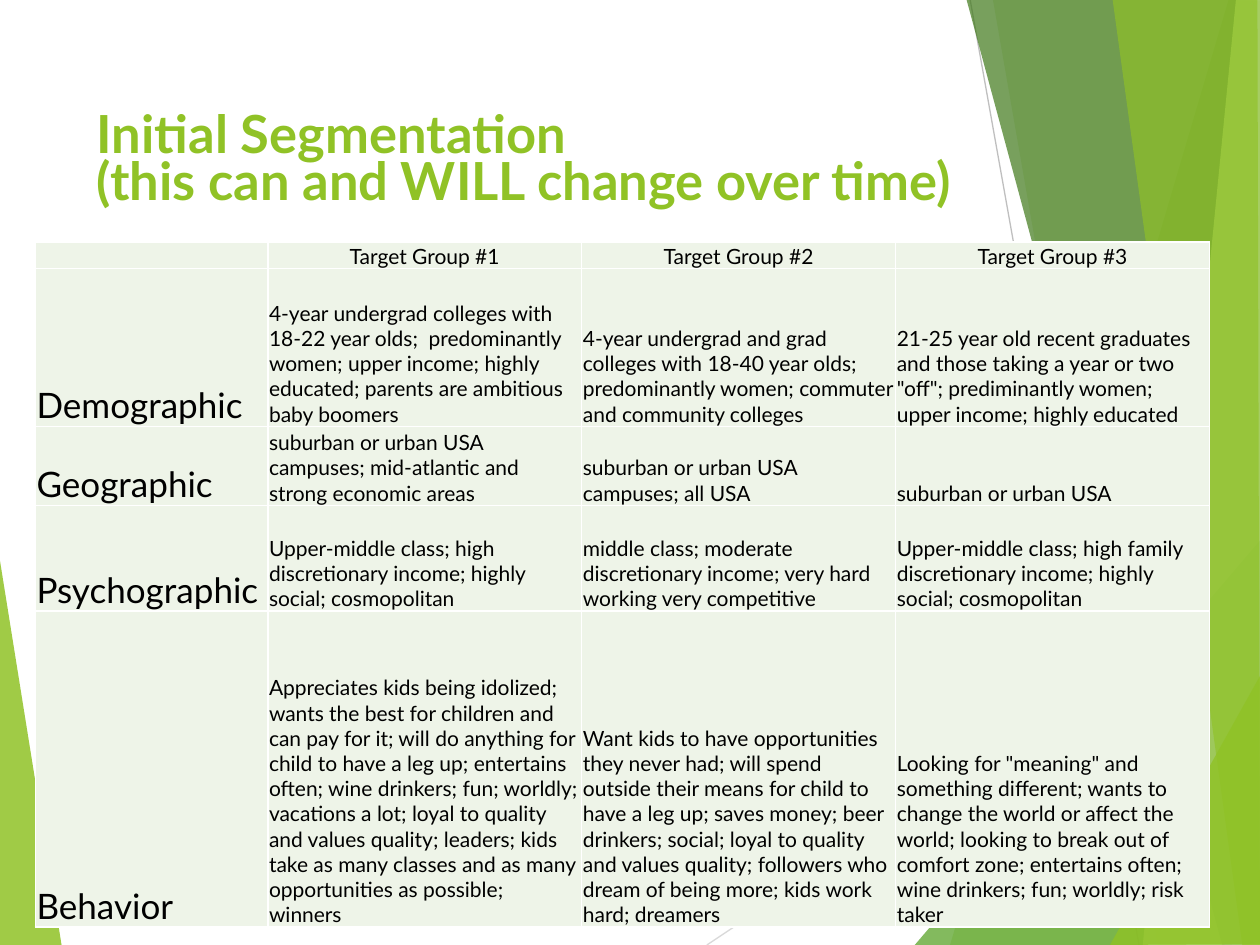
from lxml.etree import SubElement
from pptx import Presentation
from pptx.dml.color import RGBColor
from pptx.enum.shapes import MSO_CONNECTOR
from pptx.enum.text import MSO_ANCHOR, PP_ALIGN
from pptx.oxml.ns import qn
from pptx.util import Inches, Pt

WIDTH, HEIGHT = Inches(10), Inches(7.5)
FONT = "Lato"
COLOURS = {
    "lime": "90C226", "leaf": "54A021", "forest": "3F7819", "pale": "C0E474",
    "light_grey": "D9D9D9", "grey": "BFBFBF",
    "cell": "EEF4E8", "border": "FFFFFF", "text": "000000",
}

# Background art: points are percentages of the slide's width and height.
LEFT_FACET = [("lime", 85, [(-0.1, 58.5), (4.9, 100.1), (-0.1, 100)])]
RAYS = [("light_grey", (56.1, 100), (100.1, 60.9)),
        ("grey", (77, 0), (90.4, 100))]
RIGHT_FACETS = [
    ("lime", 30, [(97.5, 0), (75.4, 100), (100.2, 100.1), (100.1, 0.1)]),
    ("lime", 20, [(78.8, -0.1), (91.9, 100), (100.1, 100), (100.1, -0.1)]),
    ("leaf", 72, [(72.6, 100), (100, 57.2), (100.1, 100)]),
    ("forest", 70, [(76.7, -0.1), (97, 100), (100.1, 99.9), (100.1, -0.1)]),
    ("pale", 70, [(98.1, -0.1), (90.7, 100), (100.1, 100), (100, -0.1)]),
    ("lime", 65, [(88.3, -0.1), (98.6, 100), (100, 100), (99.8, -0.1)]),
    ("lime", 80, [(88.1, 100), (100.1, 71.3), (100.1, 99.9)]),
]

TITLE_LINES = ["Initial Segmentation", "(this can and WILL change over time)"]

COLUMN_UNITS = [20, 27, 27, 27]
ROW_UNITS = [1, 6, 3, 4, 12]
SEGMENTS = [
    ["", "Target Group #1", "Target Group #2", "Target Group #3"],
    ["Demographic",
     "4-year undergrad colleges with 18-22 year olds;  predominantly women; "
     "upper income; highly educated; parents are ambitious baby boomers",
     "4-year undergrad and grad colleges with 18-40 year olds;  "
     "predominantly women; commuter and community colleges",
     '21-25 year old recent graduates and those taking a year or two "off"; '
     "prediminantly women; upper income; highly educated"],
    ["Geographic",
     "suburban or urban USA campuses; mid-atlantic and strong economic areas",
     "suburban or urban USA campuses; all USA",
     "suburban or urban USA"],
    ["Psychographic",
     "Upper-middle class; high discretionary income; highly social; "
     "cosmopolitan",
     "middle class; moderate discretionary income; very hard working very "
     "competitive",
     "Upper-middle class; high family discretionary income; highly social; "
     "cosmopolitan"],
    ["Behavior",
     "Appreciates kids being idolized; wants the best for children and can "
     "pay for it; will do anything for child to have a leg up; entertains "
     "often; wine drinkers; fun; worldly; vacations a lot; loyal to quality "
     "and values quality; leaders; kids take as many classes and as many "
     "opportunities as possible; winners",
     "Want kids to have opportunities they never had; will spend outside "
     "their means for child to have a leg up; saves money; beer drinkers; "
     "social; loyal to quality and values quality; followers who dream of "
     "being more; kids work hard; dreamers",
     'Looking for "meaning" and something different; wants to change the '
     "world or affect the world; looking to break out of comfort zone; "
     "entertains often; wine drinkers; fun; worldly; risk taker"],
]
CELL_FORMAT = {
    "margin_left": Inches(0.01), "margin_right": Inches(0.01),
    "margin_top": Inches(0.01), "margin_bottom": 0,
    "vertical_anchor": MSO_ANCHOR.BOTTOM,
}


def colour(name):
    return RGBColor.from_string(COLOURS[name])


def share_box(left, top, width, height):
    """Turn percentages of the slide into lengths."""
    return [round(share * side / 100) for share, side in
            zip((left, top, width, height), (WIDTH, HEIGHT) * 2)]


def set_format(target, values):
    for attribute, value in values.items():
        setattr(target, attribute, value)


def set_font(font, size, name, bold=False):
    set_format(font, {"name": FONT, "size": Pt(size), "bold": bold})
    font.color.rgb = colour(name)


def place(point, box):
    """Locate a percentage point inside a box."""
    left, top, width, height = box
    return (round(left + point[0] * width / 100),
            round(top + point[1] * height / 100))


def add_facets(slide, box, facets):
    for name, opacity, outline in facets:
        corners = [place(point, box) for point in outline]
        builder = slide.shapes.build_freeform(*corners[0])
        builder.add_line_segments(corners[1:], close=True)
        facet = builder.convert_to_shape()
        facet.shadow.inherit = False
        facet.fill.solid()
        facet.fill.fore_color.rgb = colour(name)
        facet.line.fill.background()
        tint = facet.fill._xPr.find(qn("a:solidFill"))[0]
        SubElement(tint, qn("a:alpha"), val=str(opacity * 1000))


def add_rays(slide, box):
    for name, start, end in RAYS:
        ray = slide.shapes.add_connector(
            MSO_CONNECTOR.STRAIGHT, *place(start, box), *place(end, box))
        ray.line.color.rgb = colour(name)
        ray.line.width = Pt(0.75)
        SubElement(ray._element.spPr, qn("a:effectLst"))


def add_background(slide, box):
    add_facets(slide, box, LEFT_FACET)
    add_rays(slide, box)
    add_facets(slide, box, RIGHT_FACETS)


def add_title(slide, box):
    frame = slide.shapes.add_textbox(*box).text_frame
    set_format(frame, {"word_wrap": True, "vertical_anchor": MSO_ANCHOR.TOP})
    heading = frame.paragraphs[0]
    heading.line_spacing = Pt(27)
    for index, line in enumerate(TITLE_LINES):
        if index:
            heading.add_line_break()
        run = heading.add_run()
        run.text = line
        set_font(run.font, 30, "lime", bold=True)


def add_borders(cell):
    properties = cell._tc.get_or_add_tcPr()
    for position, side in enumerate(("lnL", "lnR", "lnT", "lnB")):
        edge = properties.makeelement(qn(f"a:{side}"), {"w": str(Pt(1))})
        fill = SubElement(edge, qn("a:solidFill"))
        SubElement(fill, qn("a:srgbClr"), val=COLOURS["border"])
        properties.insert(position, edge)


def fill_cell(cell, text, is_header, is_label):
    set_format(cell, CELL_FORMAT)
    cell.fill.solid()
    cell.fill.fore_color.rgb = colour("cell")
    add_borders(cell)
    entry = cell.text_frame.paragraphs[0]
    entry.alignment = PP_ALIGN.CENTER if is_header else PP_ALIGN.LEFT
    size = 20 if is_label and not is_header else 12
    if text:
        run = entry.add_run()
        run.text = text
        set_font(run.font, size, "text")
    else:
        SubElement(entry._p, qn("a:endParaRPr"), sz=str(size * 100))


def add_segment_table(slide, box):
    width, height = box[2:]
    table = slide.shapes.add_table(
        len(ROW_UNITS), len(COLUMN_UNITS), *box).table
    set_format(table, {"first_row": False, "horz_banding": False})
    for column, units in zip(table.columns, COLUMN_UNITS):
        column.width = round(width * units / sum(COLUMN_UNITS))
    for row, units in zip(table.rows, ROW_UNITS):
        row.height = round(height * units / sum(ROW_UNITS))
    for r, texts in enumerate(SEGMENTS):
        for c, text in enumerate(texts):
            fill_cell(table.cell(r, c), text, r == 0, c == 0)


def main():
    deck = Presentation()
    set_format(deck, {"slide_width": WIDTH, "slide_height": HEIGHT})
    slide = deck.slides.add_slide(deck.slide_layouts[6])
    add_background(slide, share_box(0, 0, 100, 100))
    add_title(slide, share_box(6.7, 11.7, 85, 16.7))
    add_segment_table(slide, share_box(2.8, 25.6, 93.2, 72.5))
    deck.save("out.pptx")


if __name__ == "__main__":
    main()
